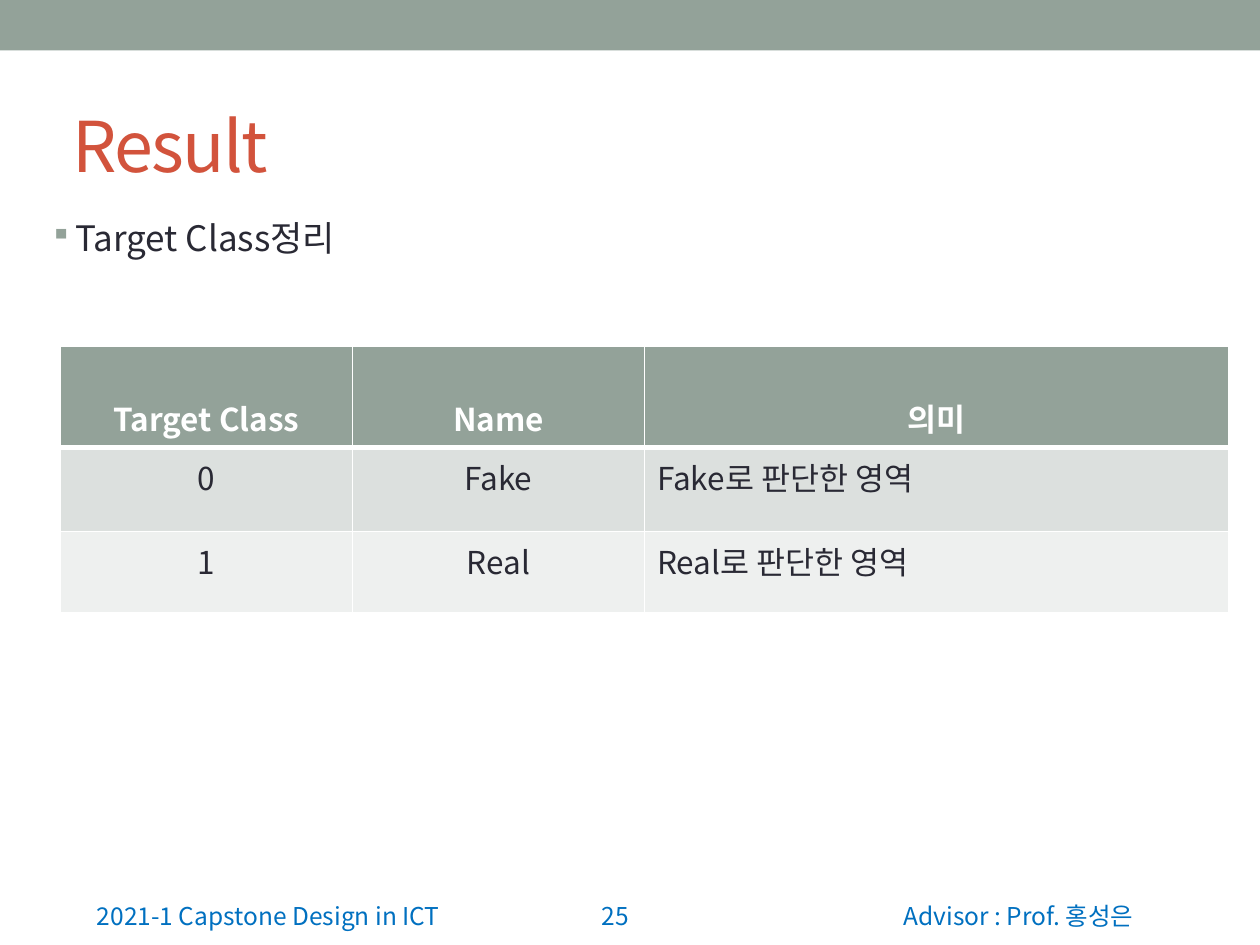
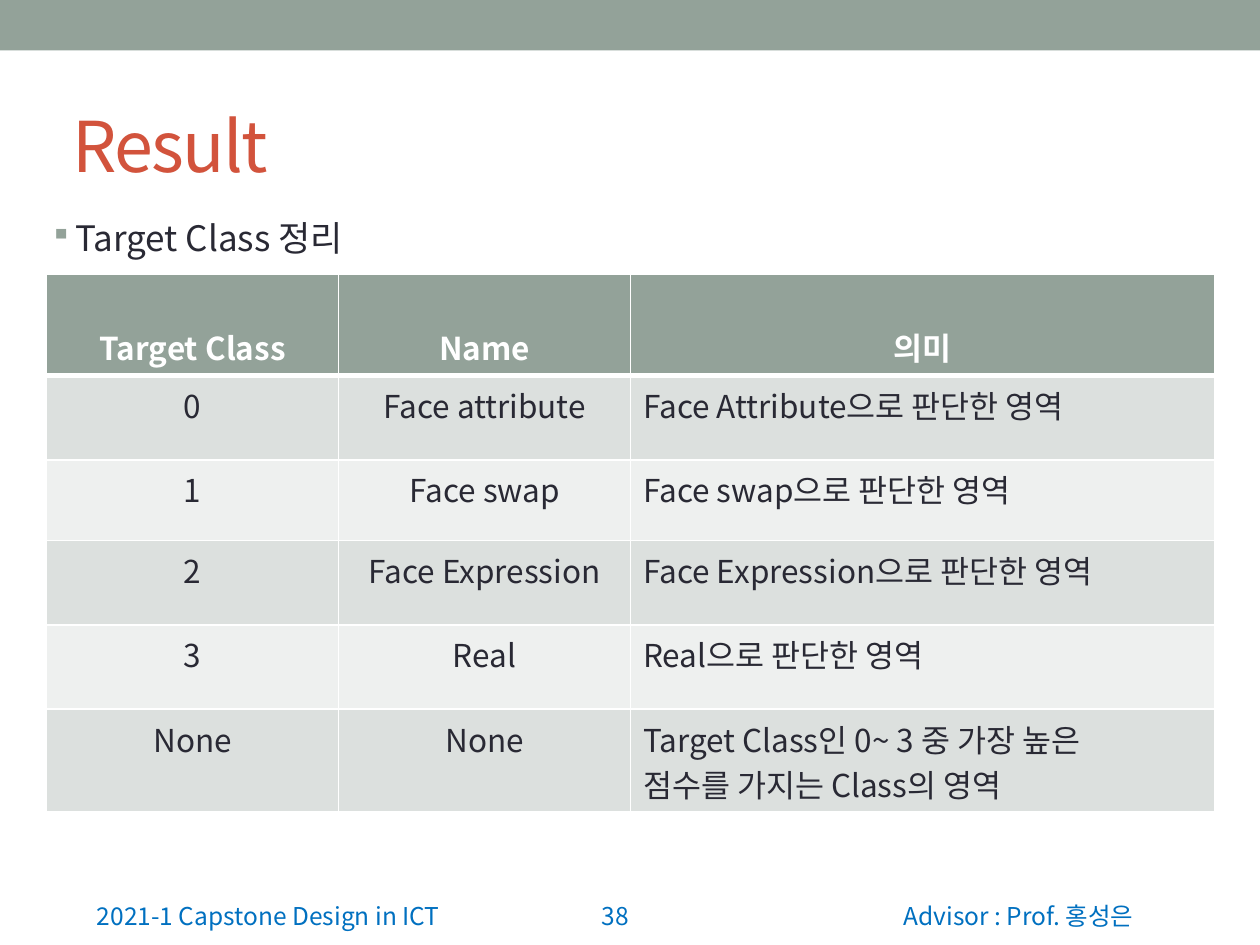
from lxml.etree import SubElement as Sub
from pptx import Presentation as Deck
from pptx.dml.color import RGBColor as Rgb
from pptx.enum.shapes import MSO_SHAPE as Shape
from pptx.enum.text import MSO_ANCHOR as Anchor, PP_ALIGN as Align
from pptx.oxml import parse_xml as xml
from pptx.oxml.ns import nsdecls, qn
from pptx.util import Inches, Pt

HUES = {"sage": "93A299", "brick": "D2533C", "ink": "292934", "blue": "0070C0",
        "white": "FFFFFF", "dark": "DCE0DE", "light": "EEF0EF"}
FONT = "Noto Sans CJK KR"
COLS, ROWS = 100, 75
HEAD = ("Target Class", "Name", "의미")
PARTS = (1, 1, 2)
PAGES = [
    (25, "Target Class정리", (4.8, 27.5), (8, 6.7, 6.4), [
        ("0", "Fake", "Fake로 판단한 영역"),
        ("1", "Real", "Real로 판단한 영역")]),
    (38, "Target Class 정리", (3.7, 21.8), (8, 6.7, 6.4, 6.7, 6.7, 8.1), [
        ("0", "Face attribute", "Face Attribute으로 판단한 영역"),
        ("1", "Face swap", "Face swap으로 판단한 영역"),
        ("2", "Face Expression", "Face Expression으로 판단한 영역"),
        ("3", "Real", "Real으로 판단한 영역"),
        ("None", "None", "Target Class인 0~ 3 중 가장 높은\n점수를 가지는 Class의 영역")]),
]


class Page:
    """Draws styled elements on the current slide, on a grid of columns and rows."""

    def __init__(self):
        self.deck = Deck()
        self.deck.slide_width, self.deck.slide_height = Inches(10), Inches(7.5)

    def new(self):
        self.slide = self.deck.slides.add_slide(self.deck.slide_layouts[6])

    def place(self, col, row, wide, high):
        across, down = self.deck.slide_width / COLS, self.deck.slide_height / ROWS
        return [round(n) for n in (col * across, row * down, wide * across, high * down)]

    def hue(self, name):
        return Rgb.from_string(HUES[name])

    def style(self, frame, text, size, hue, align=Align.LEFT, bold=False):
        frame.text = text
        for para in frame.paragraphs:
            para.alignment = align
            for run in para.runs:
                font = run.font
                font.name, font.size, font.bold = FONT, Pt(size), bold
                font.color.rgb = self.hue(hue)
                Sub(font._element, qn("a:ea"), typeface=FONT)

    def text(self, spot, text, size, hue, align=Align.LEFT, anchor=Anchor.TOP):
        frame = self.slide.shapes.add_textbox(*self.place(*spot)).text_frame
        frame.word_wrap, frame.vertical_anchor = True, anchor
        self.style(frame, text, size, hue, align)
        return frame.paragraphs[0]

    def band(self):
        bar = self.slide.shapes.add_shape(Shape.RECTANGLE, *self.place(0, 0, COLS, 4))
        bar.shadow.inherit = False
        bar.fill.solid()
        bar.fill.fore_color.rgb = self.hue("sage")
        bar.line.fill.background()

    def title(self, text):
        para = self.text((4.8, 6.1, 90, 10.8), text, 40, "brick", anchor=Anchor.MIDDLE)
        para.runs[0].font._element.set("spc", "-100")

    def point(self, text):
        para = self.text((0, 16.7, 95, 5), text, 20, "ink")
        props = para._p.get_or_add_pPr()
        props.set("marL", str(Inches(0.5)))
        props.set("indent", str(Inches(-0.2)))
        Sub(Sub(props, qn("a:buClr")), qn("a:srgbClr"), val=HUES["sage"])
        Sub(props, qn("a:buSzPct"), val="85000")
        Sub(props, qn("a:buChar"), char="▪")

    def foot(self, num):
        for col, wide, text, align in (
                (6.7, 31.7, "2021-1 Capstone Design in ICT", Align.LEFT),
                (41.3, 9.6, str(num), Align.RIGHT),
                (65, 31.7, "Advisor : Prof. 홍성은", Align.CENTER)):
            self.text((col, 69.3, wide, 5), text, 14, "blue", align, Anchor.BOTTOM)

    def edge(self, cell, row):
        thick = {"T": 3 if row == 1 else 1, "B": 3 if row == 0 else 1}
        for spot, side in enumerate("LRTB"):
            line = xml(f'<a:ln{side} {nsdecls("a")} w="{Pt(thick.get(side, 1))}"><a:solidFill>'
                       f'<a:srgbClr val="{HUES["white"]}"/></a:solidFill></a:ln{side}>')
            cell._tc.get_or_add_tcPr().insert(spot, line)

    def table(self, spot, highs, data):
        place = self.place(*spot, 92.7, sum(highs))
        grid = self.slide.shapes.add_table(len(highs), len(HEAD), *place).table
        for col, part in zip(grid.columns, PARTS):
            col.width = place[2] * part // sum(PARTS)
        for row, (high, texts) in enumerate(zip(highs, [HEAD, *data])):
            grid.rows[row].height = self.place(0, 0, 0, high)[3]
            top = row == 0
            fill = "sage" if top else ("light", "dark")[row % 2]
            for col, text in enumerate(texts):
                cell = grid.cell(row, col)
                cell.fill.solid()
                cell.fill.fore_color.rgb = self.hue(fill)
                cell.vertical_anchor = Anchor.BOTTOM if top else Anchor.TOP
                align = Align.CENTER if top or col < 2 else Align.LEFT
                self.style(cell.text_frame, text, 18, "white" if top else "ink", align, top)
                self.edge(cell, row)


def main():
    page = Page()
    for num, point, spot, highs, data in PAGES:
        page.new()
        page.band()
        page.foot(num)
        page.point(point)
        page.title("Result")
        page.table(spot, highs, data)
    page.deck.save("out.pptx")


if __name__ == "__main__":
    main()
